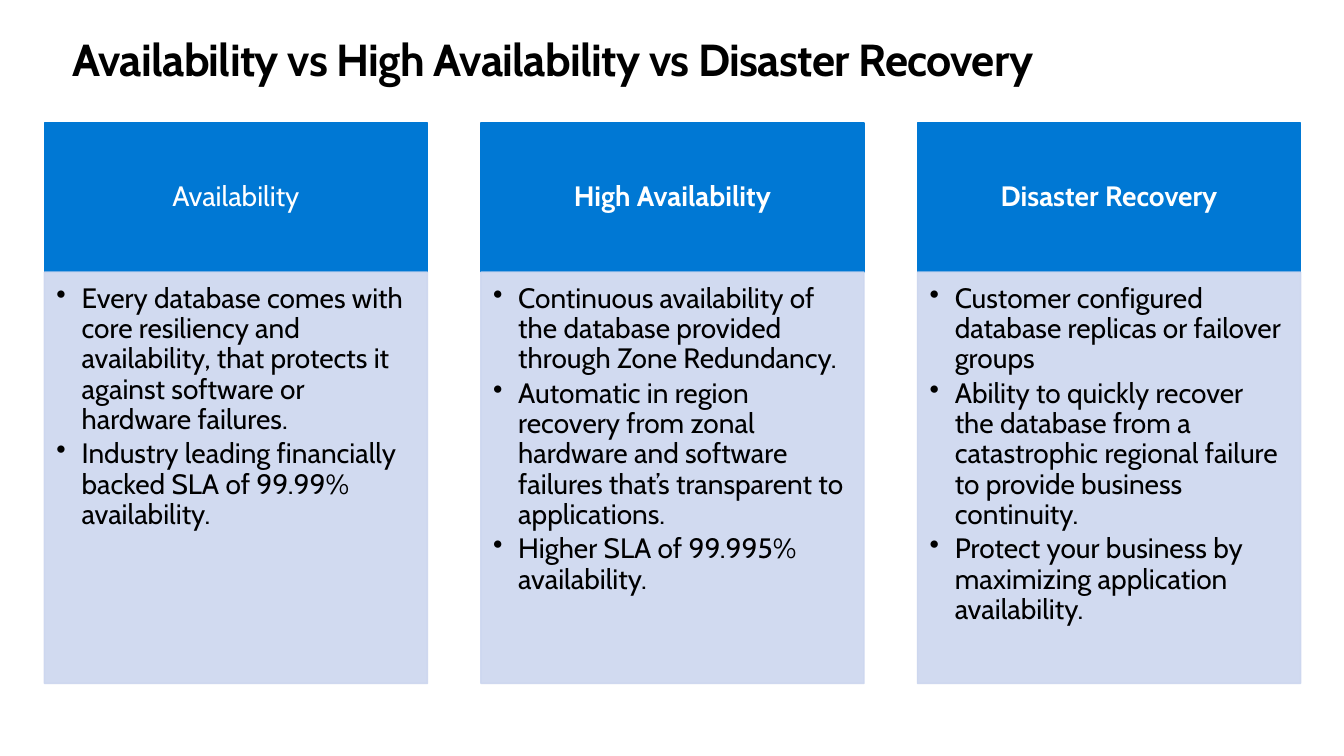
from lxml import etree
from pptx import Presentation, util as u
from pptx.dml.color import RGBColor
from pptx.enum import shapes, text
from pptx.oxml import ns

PX = 9144
COLORS = {"ink": "000000", "header": "0078D4", "panel": "CCD6EF", "white": "FFFFFF"}


class ComparisonSlide:
    font = "Cabin"

    def __init__(self, deck):
        self.slide = deck.slides.add_slide(deck.slide_layouts[6])

    def apply(self, target, **values):
        for name, value in values.items():
            setattr(target, name, value)

    def paint(self, paint_format, color, opacity):
        paint_format.solid()
        paint_format.fore_color.rgb = RGBColor.from_string(COLORS[color])
        if opacity < 100:
            for swatch in paint_format._xPr.iter(ns.qn("a:srgbClr")):
                if swatch.find(ns.qn("a:alpha")) is None:
                    etree.SubElement(swatch, ns.qn("a:alpha"), val=str(opacity * 1000))

    def set_text(self, frame, lines, margins, anchor, paragraph_format, bullet=False,
                 color="ink", size=20, bold=False, tracking=0):
        left, top, right, bottom = (margin * PX for margin in margins)
        self.apply(frame, word_wrap=True, vertical_anchor=anchor, margin_left=left,
                   margin_top=top, margin_right=right, margin_bottom=bottom)
        for index, line in enumerate(lines):
            paragraph = frame.add_paragraph() if index else frame.paragraphs[0]
            if bullet:
                properties = paragraph._p.get_or_add_pPr()
                properties.set("marL", str(25 * PX))
                properties.set("indent", str(-25 * PX))
                etree.SubElement(properties, ns.qn("a:buChar"), char="•")
            self.apply(paragraph, **paragraph_format)
            run = paragraph.add_run()
            run.text = line
            self.apply(run.font, name=self.font, size=u.Pt(size), bold=bold)
            run.font.color.rgb = RGBColor.from_string(COLORS[color])
            if tracking:
                run._r.get_or_add_rPr().set("spc", str(tracking))

    def title(self, wording, *box):
        heading = self.slide.shapes.add_textbox(*(side * PX for side in box))
        self.set_text(heading.text_frame, [wording], (0, 0, 0, 0), text.MSO_ANCHOR.TOP,
                      {"line_spacing": u.Pt(36.2)}, size=32, bold=True, tracking=-50)

    def block(self, box, color, opacity=100):
        block = self.slide.shapes.add_shape(
            shapes.MSO_SHAPE.RECTANGLE, *(side * PX for side in box))
        block.shadow.inherit = False
        self.paint(block.fill, color, opacity)
        self.paint(block.line.fill, color, opacity)
        block.line.width = u.Pt(1)
        return block.text_frame

    def header(self, wording, bold, *box):
        self.set_text(self.block(box, "header"), [wording], (16, 9, 16, 9),
                      text.MSO_ANCHOR.MIDDLE,
                      {"alignment": text.PP_ALIGN.CENTER, "line_spacing": 0.9},
                      color="white", bold=bold)

    def panel(self, points, *box):
        self.set_text(self.block(box, "panel", 90), points, (12, 12, 16, 17),
                      text.MSO_ANCHOR.TOP,
                      {"alignment": text.PP_ALIGN.LEFT, "line_spacing": 0.9,
                       "space_after": u.Pt(3)}, bullet=True)


CONCEPTS = [
    ("Availability", False, [
        "Every database comes with core resiliency and availability, that protects it "
        "against software or hardware failures.",
        "Industry leading financially backed SLA of 99.99% availability.",
    ]),
    ("High Availability", True, [
        "Continuous availability of the database provided through Zone Redundancy.",
        "Automatic in region recovery from zonal hardware and software failures "
        "that’s transparent to applications.",
        "Higher SLA of 99.995% availability.",
    ]),
    ("Disaster Recovery", True, [
        "Customer configured database replicas or failover groups",
        "Ability to quickly recover the database from a catastrophic regional failure "
        "to provide business continuity.",
        "Protect your business by maximizing application availability.",
    ]),
]


def main():
    deck = Presentation()
    deck.slide_width, deck.slide_height = 1333 * PX, 750 * PX
    comparison = ComparisonSlide(deck)
    comparison.title("Availability vs High Availability vs Disaster Recovery",
                     72, 35, 1190, 50)
    left, pitch, width = 44, 433, 380
    top, header_height, panel_height = 122, 148, 408
    for column, (concept, bold, points) in enumerate(CONCEPTS):
        x = left + column * pitch
        comparison.header(concept, bold, x, top, width, header_height)
        comparison.panel(points, x, top + header_height, width, panel_height)
    deck.save("out.pptx")


if __name__ == "__main__":
    main()
